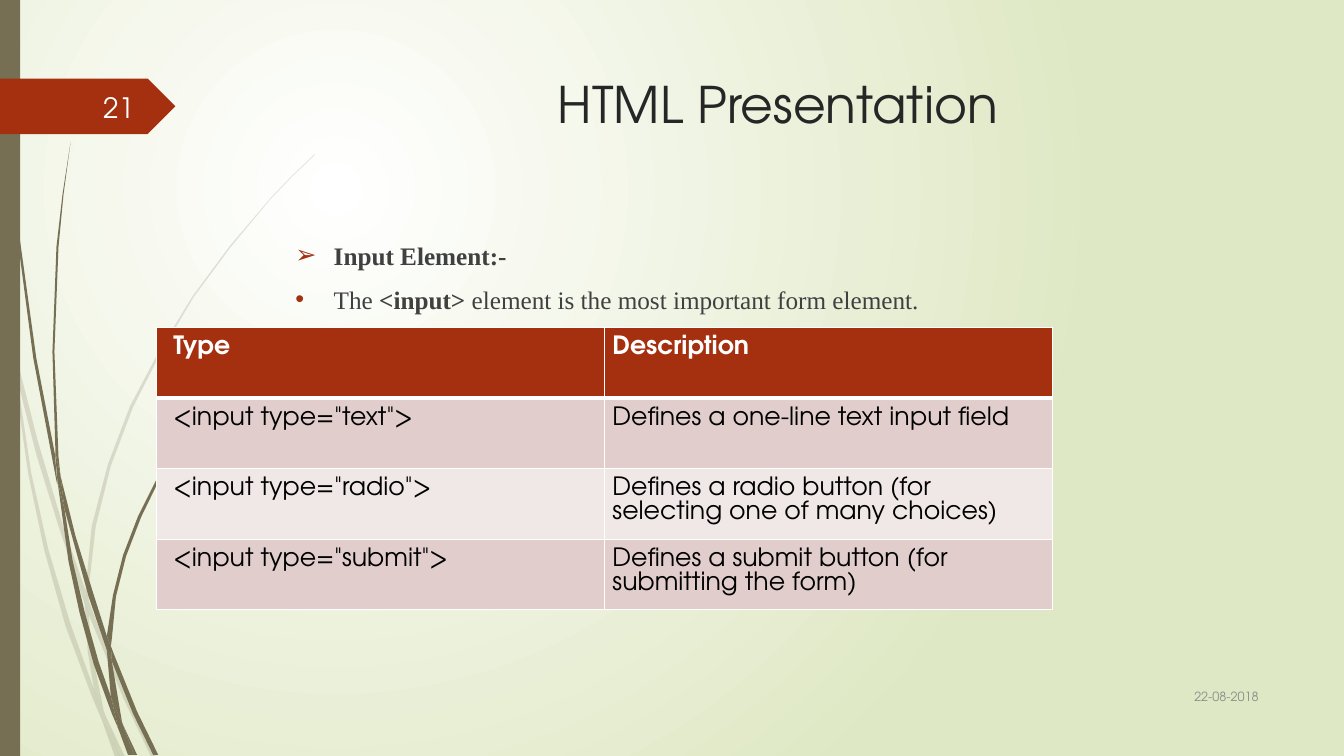
from dataclasses import dataclass
from itertools import product

from lxml import etree
from pptx import Presentation
from pptx import util as u
from pptx.dml.color import RGBColor
from pptx.enum import shapes, text
from pptx.oxml import ns

Inches, Pt = u.Inches, u.Pt
FONT, SERIF = "TeX Gyre Adventor", "Times New Roman"
COLORS = {
    "white": "FFFFFF", "green": "DFE8C4", "olive": "766F54", "rust": "A53010",
    "title": "262626", "body": "404040", "date": "8C8C8C", "number": "FEFFFF",
    "black": "000000", "band": "E1CDCC", "light": "F0E8E7",
}
FORMATS = {
    "title": {"size": Pt(36), "name": FONT},
    "body": {"size": Pt(18), "name": SERIF},
    "date": {"size": Pt(9), "name": FONT},
    "number": {"size": Pt(20), "name": FONT},
    "head": {"size": Pt(18), "name": FONT, "bold": True},
    "cell": {"size": Pt(18), "name": FONT, "bold": False},
}

# Grass outlines: x and y of each corner in inches
PALE_BLADES = (
    "0.11 3.5 0.09 3.22 0 2.82 0 2.99 0.1 3.44",
    "0.58 5.22 0.84 5.99 0.85 5.86 0.62 5.2 0.37 4.36 0.14 3.45 0.17 3.76 0.36 4.51",
    "0.92 6.07 0.88 5.96 0.88 6.1 1.23 6.94 1.5 7.51 1.55 7.51 1.27 6.92",
    "1.19 7.51 1.24 7.51 1.05 7.11",
    "0.93 6.83 0.7 6.19 0.48 5.45 0.31 4.69 0.17 3.76 0.11 3.5 0.28 4.7 0.44 5.46 0.65 6.21"
    " 0.92 6.93 1.01 7.14 0.99 7.07",
    "0.84 5.99 0.87 6.46 0.93 6.83 0.96 6.92 1.05 7.11 1.03 7.06 0.91 6.46 0.88 6.1 0.88 6.08",
    "0.88 5.84 0.95 5.22 1.1 4.62 1.32 4.04 1.6 3.49 1.92 2.95 2.29 2.45 2.68 1.98 2.9 1.75"
    " 3.12 1.54 3.12 1.53 2.89 1.75 2.68 1.97 2.28 2.44 1.91 2.94 1.58 3.48 1.29 4.03 1.07 4.61"
    " 0.91 5.22 0.85 5.84 0.85 5.86 0.88 5.96",
    "1.01 7.14 1.14 7.51 1.19 7.51",
    "0.88 6.08 0.88 6.1 0.88 5.96 0.85 5.86 0.84 5.99",
    "0.96 6.92 0.93 6.83 0.99 7.07 1.01 7.14 1.19 7.51 1.05 7.11",
)
DARK_BLADES = (
    "0.07 1.1 0.17 2.33 0.33 3.55 0.56 4.77 0.57 4.81 0.55 4.57 0.55 4.53 0.36 3.55 0.19 2.32"
    " 0.08 1.09 0.05 0.48 0.04 0 0.03 0 0.04 0.48",
    "0.88 5.92 1.06 6.45 1.06 6.31 0.93 5.9 0.75 5.32 0.6 4.72 0.64 5.05",
    "1.13 6.49 1.1 6.41 1.11 6.56 1.32 7.08 1.52 7.49 1.57 7.49 1.36 7.06",
    "1.1 6.91 0.98 6.57 0.84 6.07 0.72 5.56 0.64 5.05 0.57 4.77 0.68 5.57 0.79 6.08 0.93 6.59"
    " 1.11 7.08 1.17 7.22 1.16 7.17",
    "0.6 4.72 0.58 4.53 0.54 3.49 0.58 2.45 0.63 1.93 0.7 1.41 0.62 1.93 0.56 2.45 0.52 3.49"
    " 0.55 4.49",
    "1.33 7.49 1.36 7.49 1.22 7.19",
    "0.57 4.77 0.64 5.05 0.6 4.72 0.55 4.49 0.55 4.53",
    "1.11 6.33 1.15 5.92 1.25 5.52 1.4 5.13 1.58 4.76 2.05 4.06 2.31 3.74 2.45 3.59 2.61 3.44"
    " 2.6 3.44 2.45 3.58 2.31 3.73 2.04 4.05 1.56 4.74 1.37 5.12 1.22 5.51 1.12 5.91 1.06 6.31"
    " 1.1 6.41",
    "1.17 7.22 1.27 7.49 1.31 7.49",
    "1.06 6.45 1.1 6.91 1.16 7.06 1.22 7.19 1.21 7.16 1.11 6.56 1.09 6.51",
    "1.06 6.45 1.09 6.51 1.11 6.56 1.1 6.41 1.06 6.31 1.06 6.33",
    "1.16 7.06 1.1 6.91 1.16 7.17 1.17 7.22 1.3 7.49 1.33 7.49 1.22 7.19",
)


@dataclass
class Label:
    words: str
    style: str
    box: tuple[float, float, float, float]


@dataclass
class Bullet:
    char: str
    runs: tuple[tuple[str, bool], ...]


LABELS = (Label("22-08-2018", "date", (11.33, 6.7, 1.25, 0.41)),
          Label("21", "number", (0.58, 0.86, 0.85, 0.4)))
BULLETS = (
    Bullet("➢", (("Input Element:-", True),)),
    Bullet("•", (("The\u00a0", False), ("<input>", True),
                 ("\u00a0element is the most important form element.", False))),
)
ROWS = (
    ("Type", "Description"),
    ('<input type="text">', "Defines a one-line text input field"),
    ('<input type="radio">', "Defines a radio button (for selecting one of many choices)"),
    ('<input type="submit">', "Defines a submit button (for submitting the form)"),
)


def rgb(name: str) -> RGBColor:
    return RGBColor.from_string(COLORS[name])


def add_xml(parent, tag: str, **attrs):
    return etree.SubElement(parent, ns.qn(tag), {k: str(v) for k, v in attrs.items()})


def add_run(p, words: str, style: str, color: str, **extra) -> None:
    r = p.add_run()
    r.text = words
    for key, value in {**FORMATS[style], **extra}.items():
        setattr(r.font, key, value)
    r.font.color.rgb = rgb(color)


def place(sp, box: tuple[float, float, float, float]) -> None:
    for key, value in zip(("left", "top", "width", "height"), box):
        setattr(sp, key, Inches(value))


def paint(sp, color: str) -> None:
    sp.shadow.inherit = False
    sp.fill.solid()
    sp.fill.fore_color.rgb = rgb(color)
    sp.line.fill.background()


def add_blade(group, outline: str, alpha: int) -> None:
    nums = [Inches(float(n)) for n in outline.split()]
    start, *corners = zip(nums[::2], nums[1::2])
    builder = group.shapes.build_freeform(*start)
    builder.add_line_segments(corners, close=True)
    sp = builder.convert_to_shape()
    paint(sp, "olive")
    if alpha < 100:
        add_xml(sp.element.spPr.find(".//" + ns.qn("a:srgbClr")), "a:alpha", val=alpha * 1000)


prs = Presentation()
prs.slide_width, prs.slide_height = Inches(13.33), Inches(7.5)
s = prs.slides.add_slide(prs.slide_layouts[1])

# Radial background
fill = s.background.fill
fill.gradient()
for stop, color in zip(fill.gradient_stops, ("white", "green")):
    stop.color.rgb = rgb(color)
grad = s.element.find(".//" + ns.qn("a:gradFill"))
grad.remove(grad.find(ns.qn("a:lin")))
radial = add_xml(grad, "a:path", path="circle")
add_xml(radial, "a:fillToRect", l=50000, t=50000, r=100000, b=100000)

# Grass, side bar and page tag
for blades, alpha in ((PALE_BLADES, 20), (DARK_BLADES, 100)):
    group = s.shapes.add_group_shape()
    for outline in blades:
        add_blade(group, outline, alpha)
for kind, box, color in ((shapes.MSO_SHAPE.RECTANGLE, (0, 0, 0.2, 7.5), "olive"),
                         (shapes.MSO_SHAPE.PENTAGON, (0, 0.78, 1.74, 0.55), "rust")):
    sp = s.shapes.add_shape(kind, *(Inches(n) for n in box))
    paint(sp, color)

# Title and bullets
title, body = s.shapes.title, s.placeholders[1]
for sp, box in ((title, (2.84, 0.68, 9.75, 1.4)), (body, (2.83, 2.33, 9.75, 4.13))):
    place(sp, box)
    tf = sp.text_frame
    tf.auto_size, tf.vertical_anchor = text.MSO_AUTO_SIZE.NONE, text.MSO_ANCHOR.TOP
p = title.text_frame.paragraphs[0]
p.alignment = text.PP_ALIGN.CENTER
add_run(p, "HTML Presentation", "title", "title")
for i, bullet in enumerate(BULLETS):
    p = body.text_frame.add_paragraph() if i else body.text_frame.paragraphs[0]
    p.space_before = Pt(10)
    pPr = p._p.get_or_add_pPr()
    pPr.set("marL", str(Inches(0.38)))
    pPr.set("indent", str(-Inches(0.38)))
    add_xml(add_xml(pPr, "a:buClr"), "a:srgbClr", val=COLORS["rust"])
    add_xml(pPr, "a:buChar", char=bullet.char)
    for words, bold in bullet.runs:
        add_run(p, words, "body", "body", bold=bold)

# Date and page number
for label in LABELS:
    tf = s.shapes.add_textbox(*(Inches(n) for n in label.box)).text_frame
    tf.word_wrap, tf.vertical_anchor = True, text.MSO_ANCHOR.MIDDLE
    tf.paragraphs[0].alignment = text.PP_ALIGN.RIGHT
    add_run(tf.paragraphs[0], label.words, label.style, label.style)

# Table of input types
table = s.shapes.add_table(4, 2, *(Inches(n) for n in (1.55, 3.25, 8.89, 2.8))).table
for i, j in product(range(4), range(2)):
    cell = table.cell(i, j)
    for side in ("left", "top", "right", "bottom"):
        setattr(cell, "margin_" + side, Inches(0.17 if side == "left" and j == 0 else 0.08))
    p = cell.text_frame.paragraphs[0]
    p.line_spacing = Pt(17)
    add_run(p, ROWS[i][j], "cell" if i else "head", "black" if i else "white")
    tcPr = cell._tc.get_or_add_tcPr()
    for side in "LRTB":
        thick = (i, side) in ((0, "B"), (1, "T"))
        line = add_xml(tcPr, "a:ln" + side, w=Pt(3 if thick else 1))
        add_xml(add_xml(line, "a:solidFill"), "a:srgbClr", val=COLORS["white"])
    cell.fill.solid()
    cell.fill.fore_color.rgb = rgb(("rust", "band", "light", "band")[i])

prs.save("out.pptx")
